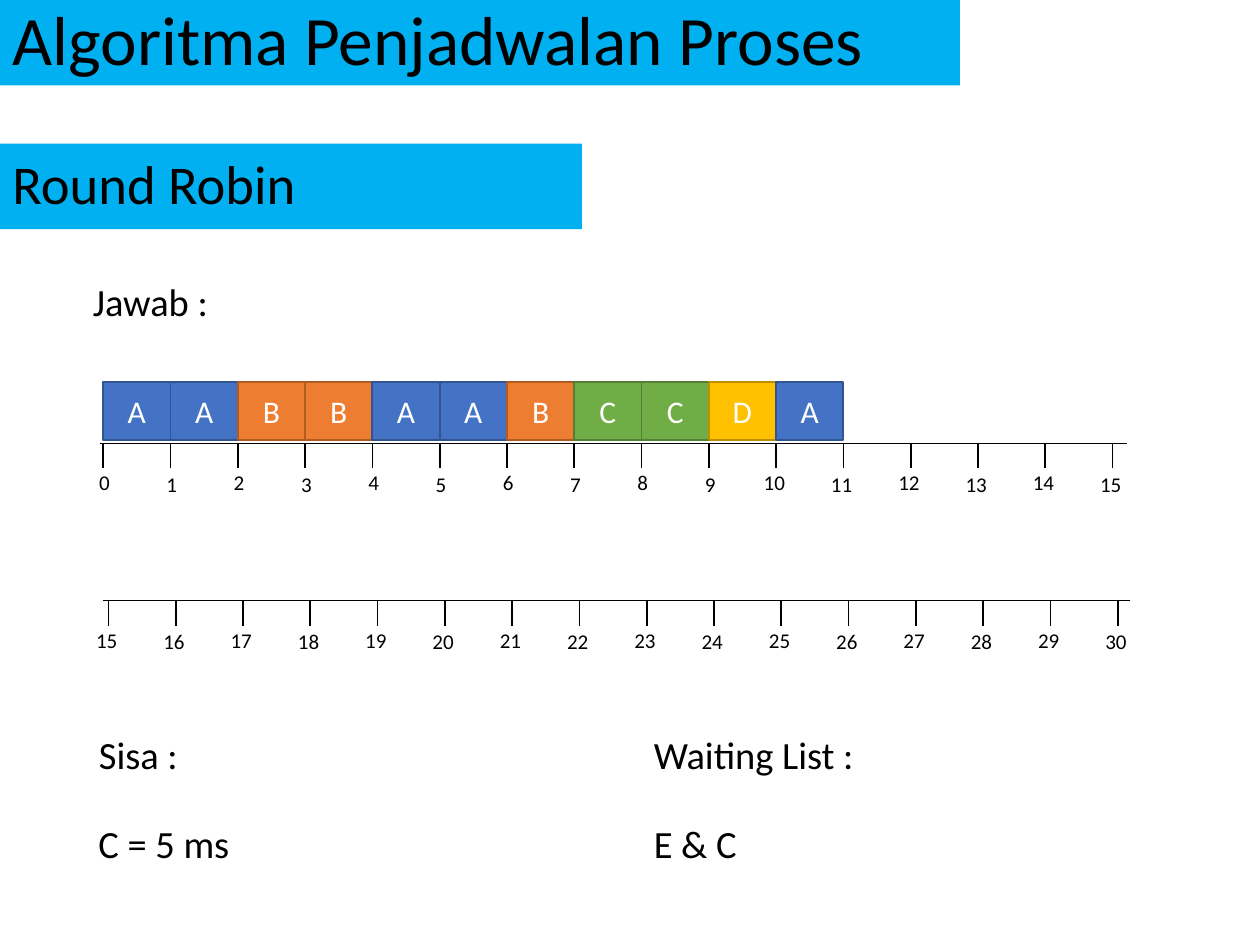
from dataclasses import dataclass

from lxml import etree
from pptx import Presentation
from pptx.dml.color import RGBColor
from pptx.enum.shapes import MSO_CONNECTOR, MSO_SHAPE
from pptx.enum.text import MSO_ANCHOR, MSO_AUTO_SIZE, PP_ALIGN
from pptx.oxml.ns import qn
from pptx.util import Pt

STRAIGHT = MSO_CONNECTOR.STRAIGHT
RECT = MSO_SHAPE.RECTANGLE
MIDDLE, TOP = MSO_ANCHOR.MIDDLE, MSO_ANCHOR.TOP
NO_FIT, GROW = MSO_AUTO_SIZE.NONE, MSO_AUTO_SIZE.SHAPE_TO_FIT_TEXT
LEFT, CENTER, JUSTIFY = PP_ALIGN.LEFT, PP_ALIGN.CENTER, PP_ALIGN.JUSTIFY


@dataclass(frozen=True)
class Theme:
    font: str = "Calibri"
    ink: str = "000000"
    light: str = "FFFFFF"
    banner: str = "00B0F0"
    title: float = 39.6
    subtitle: float = 31.2
    body: float = 22
    job: float = 18
    tick: float = 12


JOB_COLORS = {
    "A": ("4472C4", "325491"),
    "B": ("ED7D31", "AF5C24"),
    "C": ("70AD47", "538035"),
    "D": ("FFC000", "BD8E00"),
}
SCHEDULE = "AABBAABCCDA"
PITCH = 38.45
STEPS = 15
TICK_HEIGHT = 14.4
TIMELINES = [(0, 59, 57, 253.2), (15, 62, 59, 343.2)]
NOTES = [
    ("Jawab :", 46, 155.5, 142.5),
    ("Sisa :", 49.5, 414, 201.5),
    ("Waiting List :", 366.5, 414, 142.5),
    ("C = 5 ms", 49.2, 465, 205),
    ("E & C", 366.5, 465, 142.5),
]


class SlideBuilder:
    def __init__(self, slide, theme):
        self.s = slide
        self.theme = theme

    def add_run(self, sp, text, size, color, align=LEFT, anchor=TOP, fit=NO_FIT, spacing=1.0):
        tf = sp.text_frame
        tf.word_wrap = True
        tf.auto_size = fit
        tf.vertical_anchor = anchor
        p = tf.paragraphs[0]
        p.alignment = align
        p.line_spacing = spacing
        r = p.add_run()
        r.text = text
        r.font.name = self.theme.font
        r.font.size = Pt(size)
        r.font.color.rgb = RGBColor.from_string(color)

    def fill(self, sp, color):
        sp.fill.solid()
        sp.fill.fore_color.rgb = RGBColor.from_string(color)

    def rect(self, x, y, w, h, color):
        sp = self.s.shapes.add_shape(RECT, Pt(x), Pt(y), Pt(w), Pt(h))
        sp.shadow.inherit = False
        self.fill(sp, color)
        return sp

    def title(self, text, x, y, w, h):
        sp = self.s.shapes.title
        sp.left, sp.top, sp.width, sp.height = Pt(x), Pt(y), Pt(w), Pt(h)
        self.fill(sp, self.theme.banner)
        self.add_run(sp, text, self.theme.title, self.theme.ink, anchor=MIDDLE, spacing=0.9)

    def subtitle(self, text, x, y, w, h):
        sp = self.rect(x, y, w, h, self.theme.banner)
        sp.line.fill.background()
        self.add_run(sp, text, self.theme.subtitle, self.theme.ink, anchor=MIDDLE, spacing=0.9)

    def job(self, name, x, y, w, h):
        color, border = JOB_COLORS[name]
        sp = self.rect(x, y, w, h, color)
        sp.line.color.rgb = RGBColor.from_string(border)
        sp.line.width = Pt(1)
        self.add_run(sp, name, self.theme.job, self.theme.light, CENTER, MIDDLE)

    def text(self, shapes, text, x, y, w, h, size, align=LEFT):
        sp = shapes.add_textbox(Pt(x), Pt(y), Pt(w), Pt(h))
        self.add_run(sp, text, size, self.theme.ink, align, fit=GROW)

    def line(self, shapes, x1, y1, x2, y2, width):
        ln = shapes.add_connector(STRAIGHT, Pt(x1), Pt(y1), Pt(x2), Pt(y2))
        ln.line.color.rgb = RGBColor.from_string(self.theme.ink)
        ln.line.width = Pt(width)
        etree.SubElement(ln._element.spPr, qn("a:effectLst"))

    def timeline(self, start, x, axis_x, y):
        shapes = self.s.shapes.add_group_shape().shapes
        self.line(shapes, axis_x, y, axis_x + 587, y, 0.5)
        for i in range(STEPS + 1):
            tick_x = x + i * PITCH
            self.line(shapes, tick_x, y, tick_x, y + TICK_HEIGHT, 1)
            label = str(start + i)
            shift, w = (9.4, 23.8) if len(label) == 1 else (14.2, 29)
            label_y = y + 11.8 + 0.8 * (i % 2)
            self.text(shapes, label, tick_x - shift, label_y, w, 21.6, self.theme.tick)


def main():
    prs = Presentation()
    prs.slide_width, prs.slide_height = Pt(720), Pt(540)
    theme = Theme()
    b = SlideBuilder(prs.slides.add_slide(prs.slide_layouts[5]), theme)
    b.title("Algoritma Penjadwalan Proses", 0, 0, 548.6, 48.8)
    b.subtitle("Round Robin", 0, 82, 332.6, 49)
    for timeline in TIMELINES:
        b.timeline(*timeline)
    for i, name in enumerate(SCHEDULE):
        b.job(name, TIMELINES[0][1] + i * PITCH, 218.2, PITCH, 33.3)
    for text, x, y, w in NOTES:
        b.text(b.s.shapes, text, x, y, w, 33.8, theme.body, JUSTIFY)
    prs.save("out.pptx")


if __name__ == "__main__":
    main()
